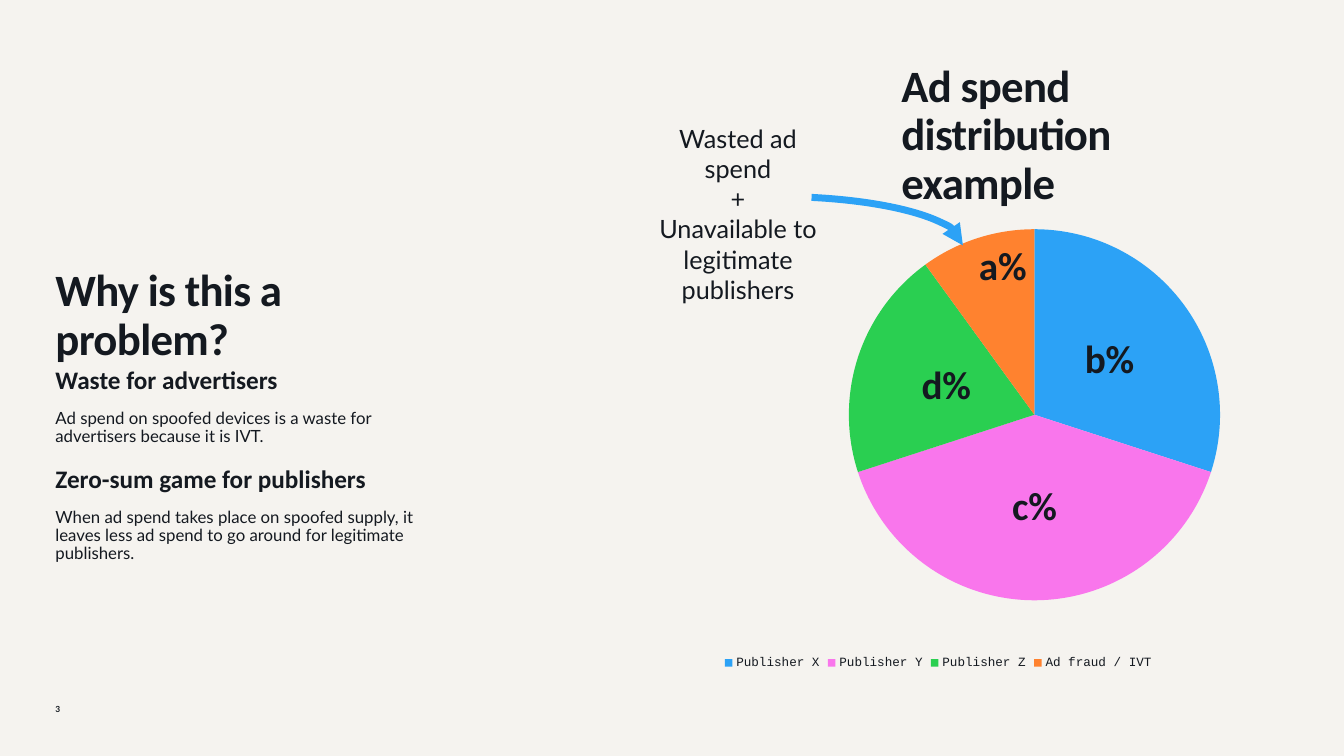
import pptx
import pptx.chart.data
import pptx.dml.color
import pptx.enum.chart
import pptx.enum.shapes
import pptx.enum.text
import pptx.oxml
import pptx.oxml.ns
import pptx.util
from pptx.util import Inches

RGBColor = pptx.dml.color.RGBColor
PAPER = RGBColor(0xF5, 0xF3, 0xEF)
INK = RGBColor(0x14, 0x19, 0x20)
BLUE = RGBColor(0x2C, 0xA2, 0xF6)
PINK = RGBColor(0xF9, 0x76, 0xEC)
GREEN = RGBColor(0x2A, 0xCF, 0x51)
ORANGE = RGBColor(0xFF, 0x82, 0x2F)

LEFT, WIDE = 0.55, 3.9
SHARES = [
    ("Publisher X", 30, "b%", BLUE),
    ("Publisher Y", 40, "c%", PINK),
    ("Publisher Z", 20, "d%", GREEN),
    ("Ad fraud / IVT", 10, "a%", ORANGE),
]
POINTS = [
    (3.65, "Waste for advertisers",
     "Ad spend on spoofed devices is a waste for advertisers because it is IVT."),
    (4.63, "Zero-sum game for publishers",
     "When ad spend takes place on spoofed supply, it leaves less ad spend "
     "to go around for legitimate publishers."),
]


def style(font, size, face, bold=False):
    font.size = pptx.util.Pt(size)
    font.name = face
    font.bold = bold
    font.color.rgb = INK


def add_text(slide, box, text, size, face, bold=False, pitch=0.9, inset=0):
    frame = slide.shapes.add_textbox(*map(Inches, box)).text_frame
    frame.word_wrap = True
    frame.margin_left = frame.margin_right = Inches(inset)
    frame.margin_top = frame.margin_bottom = Inches(inset / 2)
    frame.text = text
    for line in frame.paragraphs:
        line.line_spacing = pitch
        for run in line.runs:
            style(run.font, size, face, bold)
    return frame


def add_title(slide, box, text):
    """Add a large heading with slightly tightened letters."""
    frame = add_text(slide, box, text, 32, "Calibri", True)
    for run in frame.paragraphs[0].runs:
        run.font._element.set("spc", "-50")


def add_note(slide):
    """Add the centred remark and the curved arrow to the pie."""
    arc = slide.shapes.add_shape(
        pptx.enum.shapes.MSO_SHAPE.ARC,
        Inches(5.84), Inches(1.95), Inches(3.71), Inches(0.97))
    arc.adjustments[0] = 183.986
    arc.adjustments[1] = 0
    arc.shadow.inherit = False
    arc.fill.background()
    arc.line.color.rgb = BLUE
    arc.line.width = pptx.util.Pt(5)
    line = arc.line._get_or_add_ln()
    head = pptx.oxml.parse_xml(
        '<a:tailEnd %s type="triangle"/>' % pptx.oxml.ns.nsdecls("a"))
    line.append(head)
    frame = add_text(
        slide, (6.39, 1.17, 1.86, 1.92),
        "Wasted ad spend\n+\nUnavailable to legitimate publishers",
        18, "Lato", pitch=1.0, inset=0.1)
    for line in frame.paragraphs:
        line.alignment = pptx.enum.text.PP_ALIGN.CENTER


def set_plot(chart, left, top, width, height):
    """Fix the inner plot area, in fractions of the chart."""
    sizes = zip("xywh", (left, top, width, height))
    parts = "".join('<c:%s val="%s"/>' % pair for pair in sizes)
    layout = pptx.oxml.parse_xml(
        '<c:layout %s><c:manualLayout><c:layoutTarget val="inner"/>'
        '<c:xMode val="edge"/><c:yMode val="edge"/>%s'
        '</c:manualLayout></c:layout>' % (pptx.oxml.ns.nsdecls("c"), parts))
    area = chart._chartSpace.chart.plotArea
    for old in area.findall(pptx.oxml.ns.qn("c:layout")):
        area.remove(old)
    area.insert(0, layout)


def add_pie(slide):
    data = pptx.chart.data.CategoryChartData()
    data.categories = [share[0] for share in SHARES]
    data.add_series("Series 1", [share[1] for share in SHARES])
    chart = slide.shapes.add_chart(
        pptx.enum.chart.XL_CHART_TYPE.PIE, Inches(5.83), Inches(2.27),
        Inches(6.95), Inches(4.42), data).chart
    style(chart.font, 10, "Lato")
    chart.has_title = False
    chart.has_legend = True
    chart.legend.position = pptx.enum.chart.XL_LEGEND_POSITION.BOTTOM
    chart.legend.include_in_layout = False
    style(chart.legend.font, 9, "Courier New")
    set_plot(chart, 0.314, 0.001, 0.647, 0.833)
    plot = chart.plots[0]
    plot.vary_by_categories = True
    place = pptx.enum.chart.XL_LABEL_POSITION
    for i, (name, value, text, color) in enumerate(SHARES):
        point = plot.series[0].points[i]
        point.format.fill.solid()
        point.format.fill.fore_color.rgb = color
        label = point.data_label
        label.text_frame.text = text
        style(label.text_frame.paragraphs[0].runs[0].font, 28, "Calibri", True)
        label.position = place.INSIDE_END if value <= 10 else place.CENTER


def main():
    deck = pptx.Presentation()
    deck.slide_width = Inches(13.33)
    deck.slide_height = Inches(7.5)
    slide = deck.slides.add_slide(deck.slide_layouts[6])
    slide.background.fill.solid()
    slide.background.fill.fore_color.rgb = PAPER
    add_title(slide, (LEFT, 2.66, WIDE, 0.89), "Why is this a problem?")
    add_pie(slide)
    for top, head, body in POINTS:
        add_text(slide, (LEFT, top, WIDE, 0.3), head, 18, "Calibri", True)
        add_text(slide, (LEFT, top + 0.42, WIDE, 0.63), body, 12, "Lato")
    add_title(slide, (8.94, 0.63, 2.79, 0.51), "Ad spend distribution example")
    add_text(slide, (LEFT, 6.99, 0.39, 0.2), "3", 6, "Lato", True, pitch=1.0)
    add_note(slide)
    deck.save("out.pptx")


if __name__ == "__main__":
    main()
